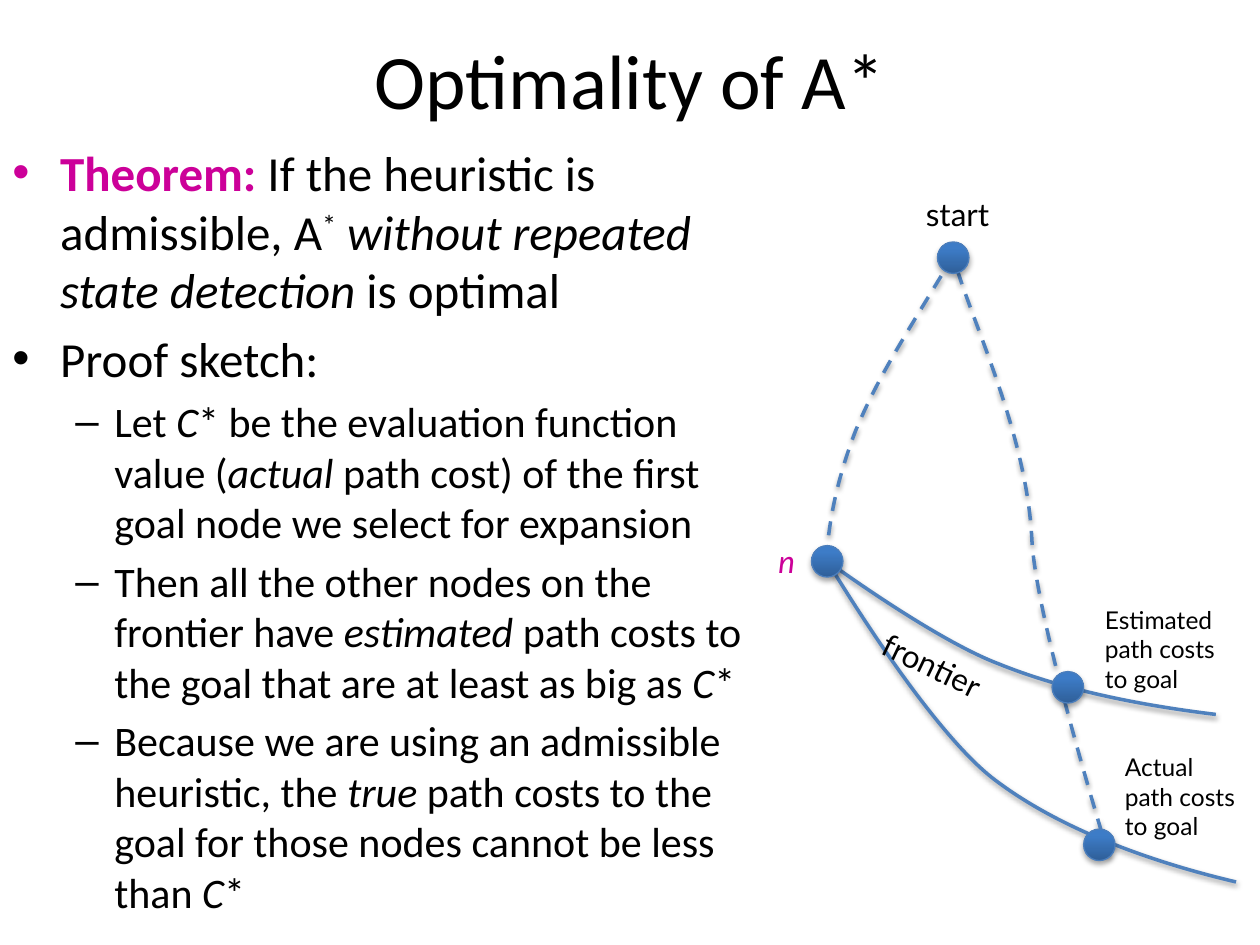
import pptx
import pptx.dml.color
import pptx.enum.dml
import pptx.enum.shapes
import pptx.enum.text
import pptx.oxml
import pptx.oxml.ns
import pptx.util
from dataclasses import dataclass

Inches = pptx.util.Inches
Pt = pptx.util.Pt


@dataclass(frozen=True)
class Theme:
    text: str = "000000"
    accent: str = "CC0099"
    edge: str = "4F81BD"
    node_line: str = "4B7EBC"
    node_dark: str = "2F5F99"
    node_light: str = "3D7CC7"
    body_font: str = "Calibri"
    label_font: str = "Lato"
    title_size: int = 44
    point_size: int = 28
    subpoint_size: int = 24
    label_size: int = 18
    note_size: int = 14


THEME = Theme()


def rgb(value):
    return pptx.dml.color.RGBColor.from_string(value)


def write(paragraph, text, size, font=THEME.body_font, color=THEME.text,
          bold=False, italic=False, baseline=0):
    """Add text; _underscores_ switch italics and newlines break the line."""
    for part, words in enumerate(text.split("_")):
        for row, line in enumerate(words.split("\n")):
            if row:
                paragraph.add_line_break()
            if not line:
                continue
            run = paragraph.add_run()
            run.text = line
            run.font.name = font
            run.font.size = Pt(size)
            run.font.color.rgb = rgb(color)
            run.font.bold = bold
            run.font.italic = italic or part % 2 == 1
            if baseline:
                run._r.get_or_add_rPr().set("baseline", str(baseline * 1000))


def add_text_frame(slide, left, top, width, height):
    box = slide.shapes.add_textbox(Inches(left), Inches(top), Inches(width), Inches(height))
    box.text_frame.word_wrap = True
    return box, box.text_frame


def add_bullet(paragraph, mark, indent, hanging, size):
    paragraph.space_before = Pt(size * 0.2)
    props = paragraph._p.get_or_add_pPr()
    props.set("marL", str(Inches(indent)))
    props.set("indent", str(-Inches(hanging)))
    bullet_font = pptx.oxml.parse_xml(
        f'<a:buFont {pptx.oxml.ns.nsdecls("a")} typeface="Arial"/>')
    bullet = pptx.oxml.parse_xml(
        f'<a:buChar {pptx.oxml.ns.nsdecls("a")} char="{mark}"/>')
    props.extend([bullet_font, bullet])


def add_shadow(shape, opacity, blur, distance):
    shape.shadow.inherit = False
    effects = shape._element.spPr.find(pptx.oxml.ns.qn("a:effectLst"))
    effects.append(pptx.oxml.parse_xml(
        f'<a:outerShdw {pptx.oxml.ns.nsdecls("a")} blurRad="{Pt(blur)}" '
        f'dist="{Pt(distance)}" dir="5400000" rotWithShape="0">'
        f'<a:srgbClr val="000000"><a:alpha val="{opacity * 1000}"/></a:srgbClr>'
        f'</a:outerShdw>'))


# Title
def add_title(slide, left, top, width, height):
    title = slide.shapes.title
    title.left, title.top = Inches(left), Inches(top)
    title.width, title.height = Inches(width), Inches(height)
    title.text_frame.vertical_anchor = pptx.enum.text.MSO_ANCHOR.MIDDLE
    heading = title.text_frame.paragraphs[0]
    heading.alignment = pptx.enum.text.PP_ALIGN.CENTER
    write(heading, "Optimality of A*", THEME.title_size)


# Theorem and proof sketch
def add_proof(slide, left, top, width, height):
    _, frame = add_text_frame(slide, left, top, width, height)
    size = THEME.point_size
    theorem = frame.paragraphs[0]
    add_bullet(theorem, "•", 0.38, 0.38, size)
    write(theorem, "Theorem: ", size, color=THEME.accent, bold=True)
    write(theorem, "If the heuristic is admissible, A", size)
    write(theorem, "*", size, baseline=30)
    write(theorem, " _without repeated state detection_ is optimal", size)

    sketch = frame.add_paragraph()
    add_bullet(sketch, "•", 0.38, 0.38, size)
    write(sketch, "Proof sketch: ", size)

    for step in (
        "Let _C_* be the evaluation function value (_actual_ path cost) "
        "of the first goal node we select for expansion",
        "Then all the other nodes on the frontier have _estimated_ path costs "
        "to the goal that are at least as big as _C_*",
        "Because we are using an admissible heuristic, the _true_ path costs "
        "to the goal for those nodes cannot be less than _C_*",
    ):
        argument = frame.add_paragraph()
        argument.level = 1
        add_bullet(argument, "–", 0.81, 0.31, THEME.subpoint_size)
        write(argument, step, THEME.subpoint_size)


def add_curve(slide, left, top, points, dashed=False):
    """Draw joined Bezier arcs through start, control, control, end, ..."""
    points = [(Inches(left + x), Inches(top + y)) for x, y in points]
    outline = slide.shapes.build_freeform(*points[0])
    outline.add_line_segments(points[1:], close=False)
    curve = outline.convert_to_shape()

    # Each three straight segments become one cubic arc
    segments = list(curve._element.iter(pptx.oxml.ns.qn("a:lnTo")))
    for first in range(0, len(segments), 3):
        arc = pptx.oxml.parse_xml(f'<a:cubicBezTo {pptx.oxml.ns.nsdecls("a")}/>')
        segments[first].addprevious(arc)
        for segment in segments[first:first + 3]:
            arc.append(segment[0])
            segment.getparent().remove(segment)

    curve.fill.background()
    curve.line.color.rgb = rgb(THEME.edge)
    curve.line.width = Pt(2)
    if dashed:
        curve.line.dash_style = pptx.enum.dml.MSO_LINE.DASH
    add_shadow(curve, 38, 3.1, 1.6)


def add_node(slide, left, top, diameter=0.25):
    node = slide.shapes.add_shape(pptx.enum.shapes.MSO_SHAPE.OVAL, Inches(left), Inches(top),
                                  Inches(diameter), Inches(diameter))
    node.fill.gradient()
    node.fill.gradient_angle = 90
    stops = zip(node.fill.gradient_stops, (0, 0.8), (THEME.node_dark, THEME.node_light))
    for stop, position, color in stops:
        stop.position = position
        stop.color.rgb = rgb(color)
    node.line.color.rgb = rgb(THEME.node_line)
    node.line.width = Pt(0.75)
    add_shadow(node, 35, 3.1, 1.8)


def add_label(slide, left, top, width, height, text, size=THEME.label_size, turn=0, **style):
    label, frame = add_text_frame(slide, left, top, width, height)
    label.rotation = turn
    for index, line in enumerate(text if isinstance(text, tuple) else (text,)):
        paragraph = frame.add_paragraph() if index else frame.paragraphs[0]
        write(paragraph, line, size, font=THEME.label_font, **style)


# Search graph; positions are relative to its top left corner
def add_search_graph(slide, left, top):
    start_to_goal = [(1.6, 0.65), (1.76, 1.15), (2.15, 1.98), (2.19, 2.78),
                     (2.22, 3.42), (2.8, 5.29), (2.8, 5.29)]
    start_to_n = [(1.47, 0.69), (1.11, 1.28), (0.95, 1.54), (0.79, 1.92),
                  (0.64, 2.31), (0.56, 2.7), (0.56, 3.01)]
    estimated = [(3.65, 4.17), (3.07, 4.1), (2.45, 3.98), (1.93, 3.77),
                 (1.4, 3.57), (0.52, 2.92), (0.52, 2.92)]
    actual = [(3.81, 5.5), (3.17, 5.35), (2.41, 5.09), (1.87, 4.67),
              (1.33, 4.24), (0.57, 2.96), (0.57, 2.96)]
    for route in (start_to_goal, start_to_n):
        add_curve(slide, left, top, route, dashed=True)
    for contour in (estimated, actual):
        add_curve(slide, left, top, contour)

    for x, y in ((1.44, 0.42), (2.35, 3.83), (0.44, 2.83), (2.6, 5.08)):
        add_node(slide, left + x, top + y)

    add_label(slide, left + 0.08, top + 2.75, 0.52, 0.4, "n", color=THEME.accent, italic=True)
    add_label(slide, left + 1.25, top, 1.08, 0.4, "start")
    add_label(slide, left + 0.88, top + 3.59, 1.08, 0.4, "frontier", turn=25.7)
    add_label(slide, left + 2.67, top + 3.25, 1.33, 0.81,
              "Estimated path costs \nto goal", THEME.note_size)
    add_label(slide, left + 2.83, top + 4.42, 1.33, 0.81,
              ("Actual", "path costs \nto goal"), THEME.note_size)


deck = pptx.Presentation()
deck.slide_width, deck.slide_height = Inches(10), Inches(7.5)
optimality = deck.slides.add_slide(deck.slide_layouts.get_by_name("Title Only"))
add_title(optimality, 0.5, 0, 9, 1.25)
add_proof(optimality, 0, 1.08, 6.17, 4.95)
add_search_graph(optimality, 6, 1.5)
deck.save("out.pptx")
